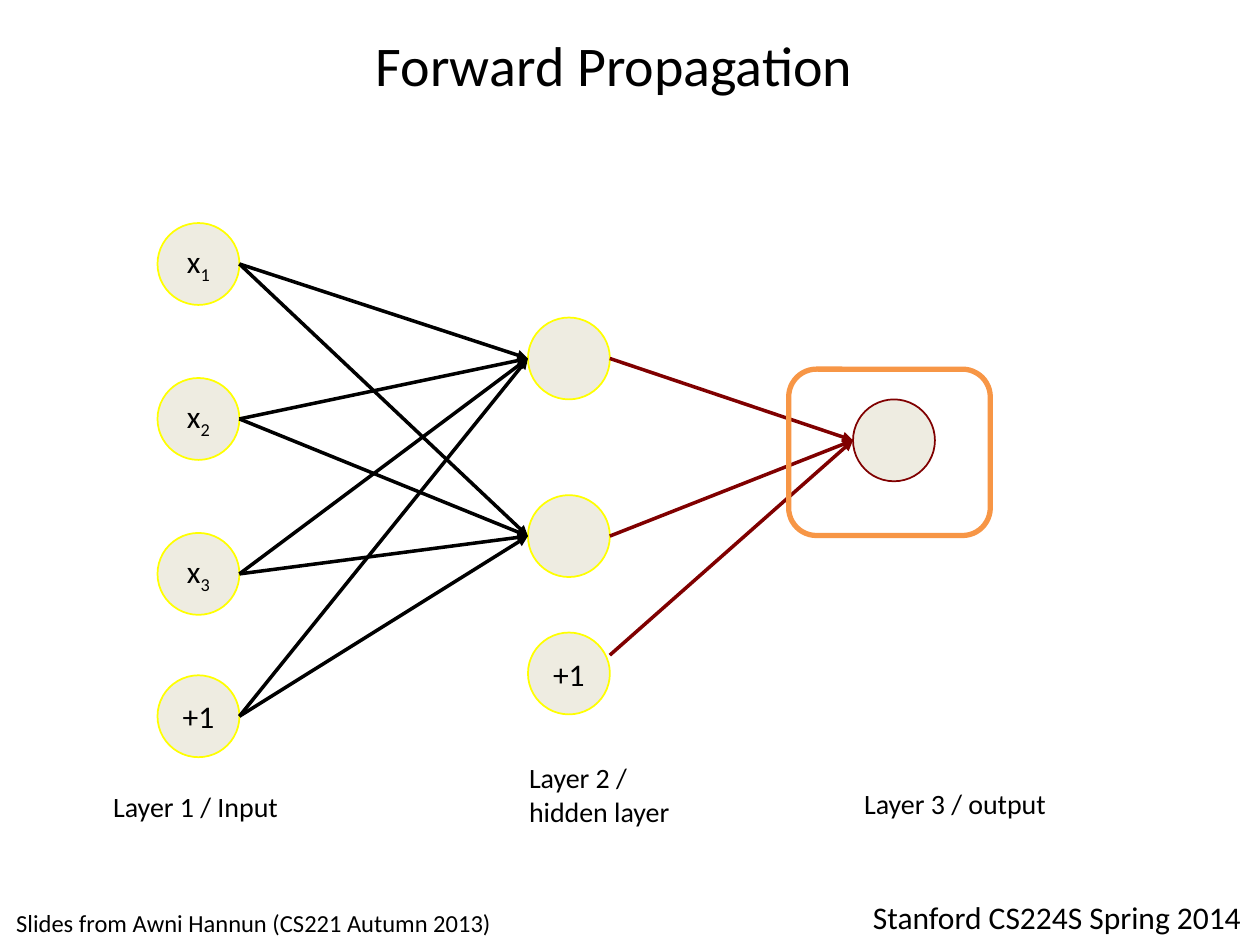
from dataclasses import dataclass
from itertools import product

from lxml import etree
from pptx import Presentation
from pptx.dml.color import RGBColor
from pptx.enum import shapes as es, text as et
from pptx.oxml import ns
from pptx.util import Inches, Pt

HUES = {"ink": "000000", "node": "EEECE1", "rim": "FFFF00",
        "out": "800000", "mark": "F79646"}
SIZE = 0.65
INPUT, HIDDEN, OUTPUT = 1.25, 4.19, 6.77


@dataclass
class Node:
    left: float
    top: float
    text: str = ""
    sub: str = ""
    rim: str = "rim"

    @property
    def mid(self) -> float:
        return self.top + SIZE / 2


@dataclass
class Label:
    box: tuple[float, float, float, float]
    lines: list[str]
    size: int
    align: et.PP_ALIGN = et.PP_ALIGN.LEFT
    anchor: et.MSO_ANCHOR = et.MSO_ANCHOR.TOP


def hue(name: str) -> RGBColor:
    return RGBColor.from_string(HUES[name])


def style(run, size: int) -> None:
    for key, val in {"name": "Calibri", "size": Pt(size)}.items():
        setattr(run.font, key, val)
    run.font.color.rgb = hue("ink")


def add_shape(slide, kind, box, rim: str, width: float):
    shape = slide.shapes.add_shape(kind, *map(Inches, box))
    shape.shadow.inherit = False
    shape.line.color.rgb = hue(rim)
    shape.line.width = Pt(width)
    return shape


def draw_node(slide, node: Node) -> None:
    box = (node.left, node.top, SIZE, SIZE)
    shape = add_shape(slide, es.MSO_SHAPE.OVAL, box, node.rim, 1)
    shape.fill.solid()
    shape.fill.fore_color.rgb = hue("node")
    if not node.text:
        return
    frame = shape.text_frame
    form = {"margin_left": 0, "margin_right": 0, "word_wrap": False,
            "vertical_anchor": et.MSO_ANCHOR.MIDDLE}
    for key, val in form.items():
        setattr(frame, key, val)
    para = frame.paragraphs[0]
    para.alignment = et.PP_ALIGN.CENTER
    for part in filter(None, (node.text, node.sub)):
        run = para.add_run()
        run.text = part
        style(run, 18)
    if node.sub:
        run.font._element.set("baseline", "-25000")


def draw_arrow(slide, start: Node, end: Node, color: str, drop: float = SIZE / 2) -> None:
    """Link the right of start, drop inches below its top, to the left of end."""
    ends = (start.left + SIZE, start.top + drop, end.left, end.mid)
    line = slide.shapes.add_connector(es.MSO_CONNECTOR.STRAIGHT, *map(Inches, ends))
    line.line.color.rgb = hue(color)
    line.line.width = Pt(2)
    etree.SubElement(line.line._get_or_add_ln(), ns.qn("a:tailEnd"), type="triangle")
    etree.SubElement(line._element.spPr, ns.qn("a:effectLst"))


def draw_label(slide, label: Label) -> None:
    frame = slide.shapes.add_textbox(*map(Inches, label.box)).text_frame
    frame.word_wrap = True
    frame.vertical_anchor = label.anchor
    for i, line in enumerate(label.lines):
        para = frame.add_paragraph() if i else frame.paragraphs[0]
        para.alignment = label.align
        run = para.add_run()
        run.text = line
        style(run, label.size)


def main() -> None:
    deck = Presentation()
    deck.slide_width, deck.slide_height = Inches(10), Inches(7.5)
    slide = deck.slides.add_slide(deck.slide_layouts[6])

    inputs = [Node(INPUT, 1.77 + 1.23 * i, "x", str(i + 1)) for i in range(3)]
    inputs.append(Node(INPUT, 5.36, "+1"))
    hidden = [Node(HIDDEN, top) for top in (2.52, 3.93)]
    bias = Node(HIDDEN, 5.02, "+1")
    output = Node(OUTPUT, 3.17, rim="out")

    for node in (*inputs, *hidden, bias, output):
        draw_node(slide, node)
    for start, end in product(inputs, hidden):
        draw_arrow(slide, start, end, "ink")
    for start in hidden:
        draw_arrow(slide, start, output, "out")
    draw_arrow(slide, bias, output, "out", 0.18)

    labels = [
        Label((2.01, 0.15, 5.73, 0.72), ["Forward Propagation"], 32,
              et.PP_ALIGN.CENTER, et.MSO_ANCHOR.MIDDLE),
        Label((0.8, 6.22, 1.88, 0.37), ["Layer 1 / Input"], 16),
        Label((4.1, 5.99, 2.09, 0.64), ["Layer 2 /", "hidden layer"], 16),
        Label((6.76, 6.19, 2.18, 0.37), ["Layer 3 / output"], 16),
        Label((0.03, 7.16, 4.74, 0.34),
              ["Slides from Awni Hannun (CS221 Autumn 2013)"], 14),
        Label((6.83, 7.08, 3.17, 0.4), ["Stanford CS224S Spring 2014"], 18),
    ]
    for label in labels:
        draw_label(slide, label)

    mark = add_shape(slide, es.MSO_SHAPE.ROUNDED_RECTANGLE,
                     (6.26, 2.93, 1.6, 1.32), "mark", 3)
    mark.fill.background()
    deck.save("out.pptx")


if __name__ == "__main__":
    main()
